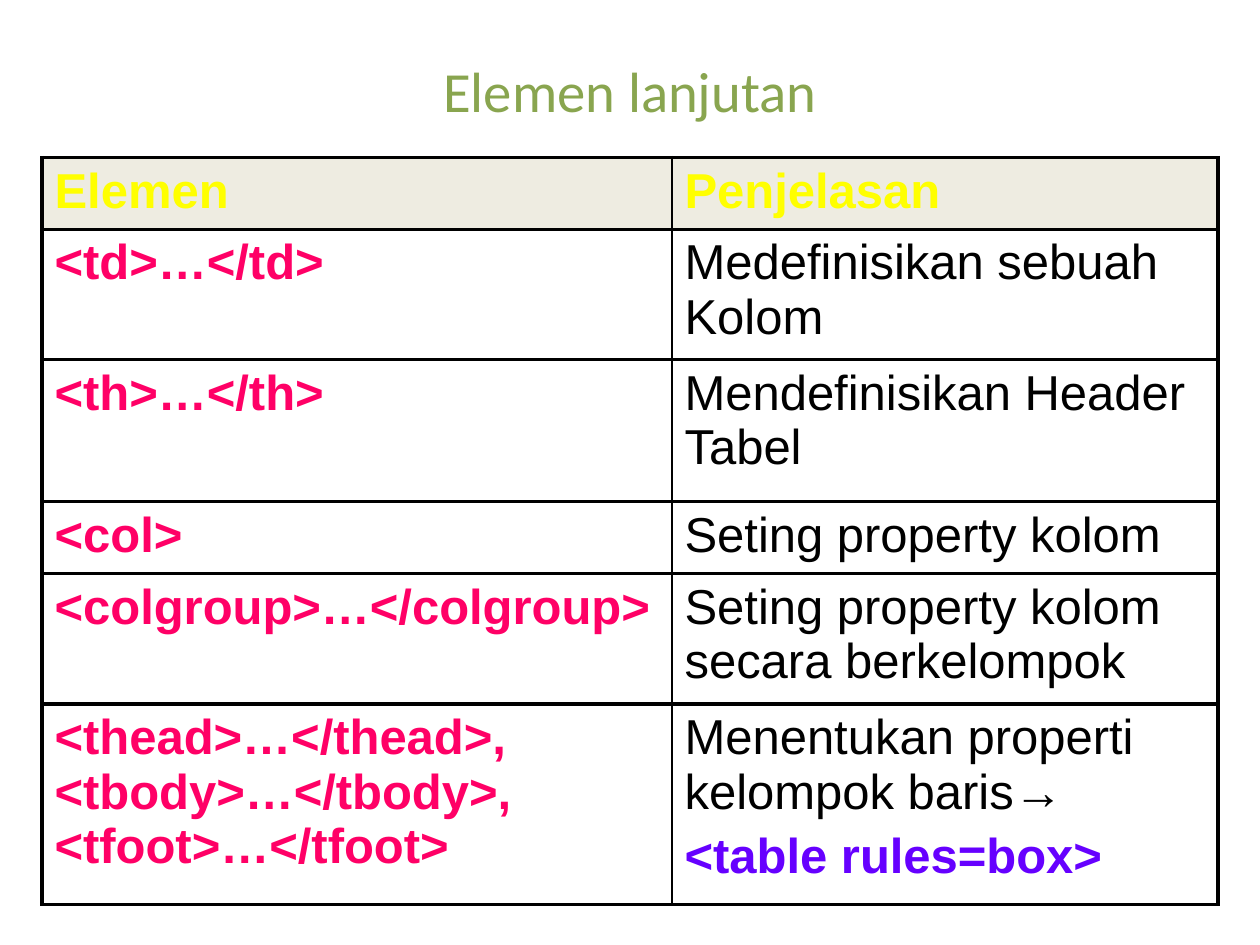
from dataclasses import dataclass

from lxml import etree
from pptx import Presentation
from pptx.dml.color import RGBColor
from pptx.enum.text import MSO_ANCHOR, PP_ALIGN
from pptx.oxml.ns import qn
from pptx.util import Pt

CENTER = PP_ALIGN.CENTER
MIDDLE, TOP = MSO_ANCHOR.MIDDLE, MSO_ANCHOR.TOP


@dataclass(frozen=True)
class Theme:
    title: str = "89A54F"
    header: str = "FFFF00"
    header_fill: str = "EEECE1"
    tag: str = "FF0066"
    text: str = "000000"
    accent: str = "6600FF"
    border: str = "000000"
    title_font: str = "Calibri"
    body_font: str = "Arial"
    title_size: float = 32.4
    body_size: float = 28
    para_gap: float = 5.6
    thick: float = 2.25
    thin: float = 1


@dataclass(frozen=True)
class Line:
    text: str
    color: str
    bold: bool = False


@dataclass(frozen=True)
class Row:
    height: float
    element: Line
    meaning: tuple[Line, ...]
    fill: str = ""


T = Theme()


def entry(height: float, tags: str, meaning: str, *extra: Line) -> Row:
    return Row(height, Line(tags, T.tag, True), (Line(meaning, T.text), *extra))


ROWS = (
    Row(41.1, Line("Elemen", T.header, True),
        (Line("Penjelasan", T.header, True),), T.header_fill),
    entry(74.3, "<td>…</td>", "Medefinisikan sebuah Kolom"),
    entry(81.2, "<th>…</th>", "Mendefinisikan Header Tabel"),
    entry(41.1, "<col>", "Seting property kolom"),
    entry(74.3, "<colgroup>…</colgroup>", "Seting property kolom secara berkelompok"),
    entry(114.7, "<thead>…</thead>, <tbody>…</tbody>, <tfoot>…</tfoot>",
          "Menentukan properti kelompok baris→",
          Line("<table rules=box>", T.accent, True)),
)
COL_WIDTHS = (360, 312)


def write(p, line: Line, font: str, size: float) -> None:
    r = p.add_run()
    r.text = line.text
    for name, value in {"name": font, "size": Pt(size), "bold": line.bold}.items():
        setattr(r.font, name, value)
    r.font.color.rgb = RGBColor.from_string(line.color)


def set_borders(cell, widths: dict[str, float]) -> None:
    tcPr = cell._tc.get_or_add_tcPr()
    # Border lines must precede the fill in the cell properties
    for i, (side, width) in enumerate(widths.items()):
        ln = etree.Element(qn(f"a:ln{side}"), w=str(Pt(width)))
        fill = etree.SubElement(ln, qn("a:solidFill"))
        etree.SubElement(fill, qn("a:srgbClr"), val=T.border)
        tcPr.insert(i, ln)


def fill_cell(cell, lines: tuple[Line, ...], fill: str, first: bool) -> None:
    margins = {"margin_left": Pt(7.2), "margin_right": Pt(7.2),
               "margin_top": Pt(3.6), "margin_bottom": Pt(3.6),
               "vertical_anchor": TOP}
    for name, value in margins.items():
        setattr(cell, name, value)
    if fill:
        cell.fill.solid()
        cell.fill.fore_color.rgb = RGBColor.from_string(fill)
    else:
        cell.fill.background()
    tf = cell.text_frame
    for i, line in enumerate(lines):
        p = tf.add_paragraph() if i else tf.paragraphs[0]
        if i:
            p.space_before = Pt(T.para_gap)
        write(p, line, T.body_font, T.body_size)
    set_borders(cell, {"L": T.thick if first else T.thin,
                       "R": T.thin if first else T.thick,
                       "T": T.thick, "B": T.thick})


def add_title(s, text: str) -> None:
    sp = s.shapes.add_textbox(Pt(67.7), Pt(26), Pt(584.6), Pt(50.4))
    tf = sp.text_frame
    for name, value in {"word_wrap": True, "vertical_anchor": MIDDLE}.items():
        setattr(tf, name, value)
    p = tf.paragraphs[0]
    p.alignment = CENTER
    write(p, Line(text, T.title), T.title_font, T.title_size)


def add_element_table(s, rows: tuple[Row, ...]) -> None:
    table = s.shapes.add_table(
        len(rows), len(COL_WIDTHS), Pt(24), Pt(90),
        Pt(sum(COL_WIDTHS)), Pt(sum(row.height for row in rows))).table
    table.first_row = table.horz_banding = False
    for col, width in zip(table.columns, COL_WIDTHS):
        col.width = Pt(width)
    for i, row in enumerate(rows):
        table.rows[i].height = Pt(row.height)
        fill_cell(table.cell(i, 0), (row.element,), row.fill, True)
        fill_cell(table.cell(i, 1), row.meaning, row.fill, False)


def main() -> None:
    prs = Presentation()
    prs.slide_width, prs.slide_height = Pt(720), Pt(540)
    s = prs.slides.add_slide(prs.slide_layouts[6])
    # Title
    add_title(s, "Elemen lanjutan")
    # Table of elements and their meanings
    add_element_table(s, ROWS)
    prs.save("out.pptx")


if __name__ == "__main__":
    main()
